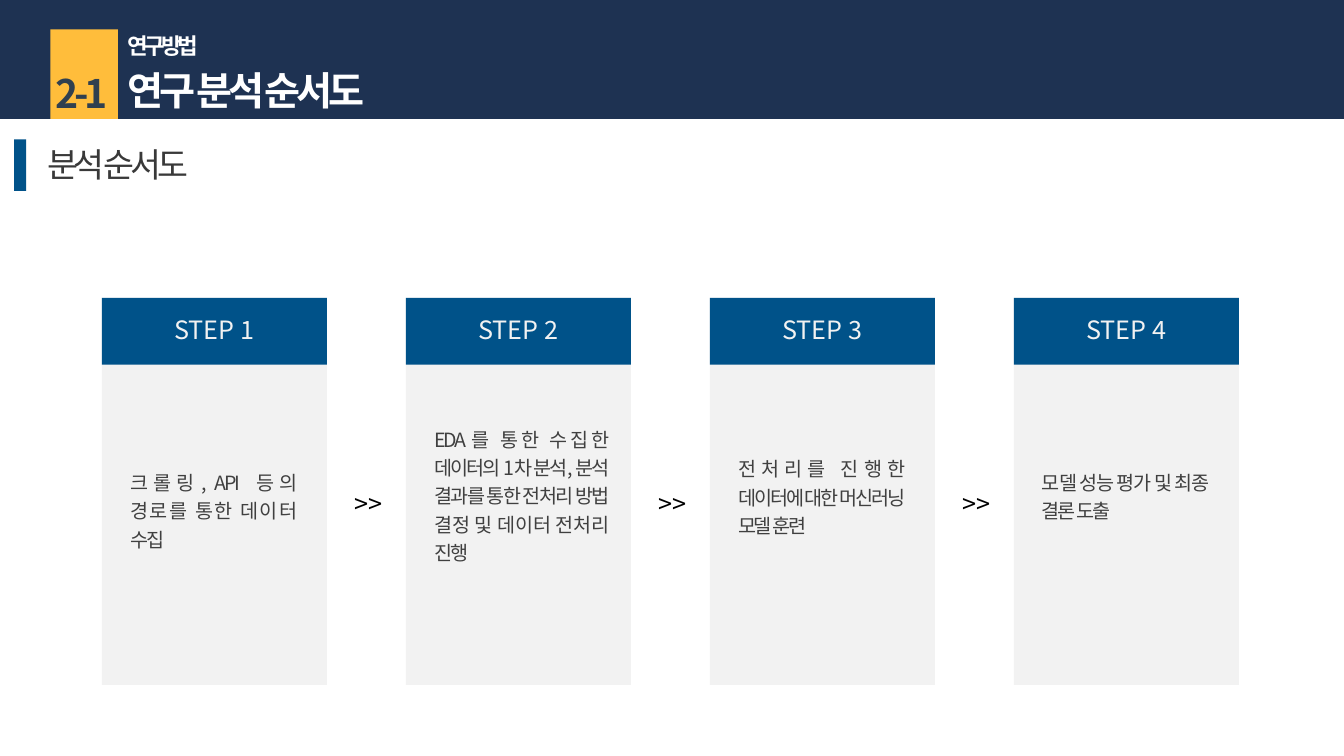
from dataclasses import dataclass

from lxml import etree
from pptx import Presentation
from pptx.dml.color import RGBColor
from pptx.enum import shapes, text
from pptx.oxml import ns
from pptx.util import Cm, Pt

FONT = "Noto Sans CJK KR"
COLORS = {
    "navy": "1E3252",
    "blue": "005289",
    "amber": "FFBD3B",
    "pale": "F2F2F2",
    "white": "FFFFFF",
    "slate": "30404F",
    "heading": "393939",
    "body": "404040",
    "black": "000000",
}


@dataclass(frozen=True)
class Box:
    left: float
    top: float
    width: float
    height: float

    def lengths(self) -> tuple:
        return Cm(self.left), Cm(self.top), Cm(self.width), Cm(self.height)


@dataclass(frozen=True)
class Style:
    size: float
    color: str
    bold: bool = False
    tracking: float = 0
    align: text.PP_ALIGN = text.PP_ALIGN.LEFT
    line_spacing: float = 1.0
    wrap: bool = True


@dataclass(frozen=True)
class Step:
    description: str
    top: float
    width: float
    height: float


SECTION = Style(16, "white", bold=True, tracking=-3)
TITLE = Style(28, "white", bold=True, tracking=-3)
NUMBER = Style(28, "slate", bold=True, tracking=-3, align=text.PP_ALIGN.CENTER)
HEADING = Style(24, "heading", tracking=-3, wrap=False)
STEP_LABEL = Style(18, "pale", align=text.PP_ALIGN.CENTER, wrap=False)
ARROW = Style(18, "black", wrap=False)
DESCRIPTION = Style(14, "body", tracking=-1.5, align=text.PP_ALIGN.JUSTIFY, line_spacing=1.2)

STEPS = [
    Step("크롤링, API 등의 경로를 통한 데이터 수집", 11.63, 4.67, 1.63),
    Step("EDA를 통한 수집한 데이터의 1차 분석, 분석 결과를 통한 전처리 방법 결정 및 데이터 전처리 진행",
         10.54, 4.88, 3.78),
    Step("전처리를 진행한 데이터에 대한 머신러닝 모델 훈련", 11.28, 4.67, 2.34),
    Step("모델 성능 평가 및 최종 결론 도출", 11.63, 4.67, 1.63),
]
FIRST_LEFT, PITCH = 2.57, 7.66
CARD_TOP, CARD_WIDTH, CARD_HEIGHT, HEADER_HEIGHT = 7.51, 5.67, 9.75, 1.68
LABEL_WIDTH, LABEL_HEIGHT = 2.69, 1.12


def write(shape, wording: str, style: Style) -> None:
    frame = shape.text_frame
    frame.text = wording
    frame.word_wrap = style.wrap
    frame.auto_size = text.MSO_AUTO_SIZE.SHAPE_TO_FIT_TEXT
    frame.vertical_anchor = text.MSO_ANCHOR.TOP
    paragraph = frame.paragraphs[0]
    paragraph.alignment = style.align
    paragraph.line_spacing = style.line_spacing
    font = paragraph.font
    font.name = FONT
    font.size = Pt(style.size)
    font.bold = style.bold
    font.color.rgb = RGBColor.from_string(COLORS[style.color])
    for properties in shape.element.iter(ns.qn("a:defRPr")):
        properties.set("spc", str(int(style.tracking * 100)))
        etree.SubElement(properties, ns.qn("a:ea"), typeface=FONT)


def add_block(slide, box: Box, color: str):
    block = slide.shapes.add_shape(shapes.MSO_SHAPE.RECTANGLE, *box.lengths())
    block.shadow.inherit = False
    block.fill.solid()
    block.fill.fore_color.rgb = RGBColor.from_string(COLORS[color])
    block.line.fill.background()
    return block


def add_text(slide, box: Box, wording: str, style: Style) -> None:
    write(slide.shapes.add_textbox(*box.lengths()), wording, style)


def add_title(slide, box: Box, wording: str) -> None:
    title = slide.shapes.title
    title.left, title.top, title.width, title.height = box.lengths()
    write(title, wording, TITLE)
    title.element.getparent().append(title.element)


def add_step(slide, index: int, step: Step) -> None:
    left = FIRST_LEFT + index * PITCH
    add_block(slide, Box(left, CARD_TOP, CARD_WIDTH, CARD_HEIGHT), "pale")
    add_block(slide, Box(left, CARD_TOP, CARD_WIDTH, HEADER_HEIGHT), "blue")
    label_box = Box(
        left + (CARD_WIDTH - LABEL_WIDTH) / 2,
        CARD_TOP + (HEADER_HEIGHT - LABEL_HEIGHT) / 2,
        LABEL_WIDTH,
        LABEL_HEIGHT,
    )
    write(add_block(slide, label_box, "blue"), f"STEP {index + 1}", STEP_LABEL)
    description_box = Box(left + 0.46, step.top, step.width, step.height)
    add_text(slide, description_box, step.description, DESCRIPTION)
    if index < len(STEPS) - 1:
        add_text(slide, Box(left + 6.12, 12.19, 1.5, 1.12), ">>", ARROW)


def main() -> None:
    deck = Presentation()
    deck.slide_width, deck.slide_height = Cm(33.87), Cm(19.05)
    slide = deck.slides.add_slide(deck.slide_layouts[5])

    add_block(slide, Box(0, 0, 33.87, 3), "navy")
    add_block(slide, Box(1.27, 0.74, 1.7, 2.26), "amber")
    add_text(slide, Box(2.97, 0.69, 13.97, 0.94), "연구 방법", SECTION)
    add_title(slide, Box(2.97, 1.55, 13.97, 1.45), "연구 분석 순서도")
    add_text(slide, Box(0.97, 1.63, 2.18, 1.45), "2-1", NUMBER)

    add_block(slide, Box(0.36, 3.51, 0.3, 1.3), "blue")
    add_text(slide, Box(0.94, 3.51, 4.45, 1.27), "분석 순서도", HEADING)

    for index, step in enumerate(STEPS):
        add_step(slide, index, step)

    deck.save("out.pptx")


if __name__ == "__main__":
    main()
